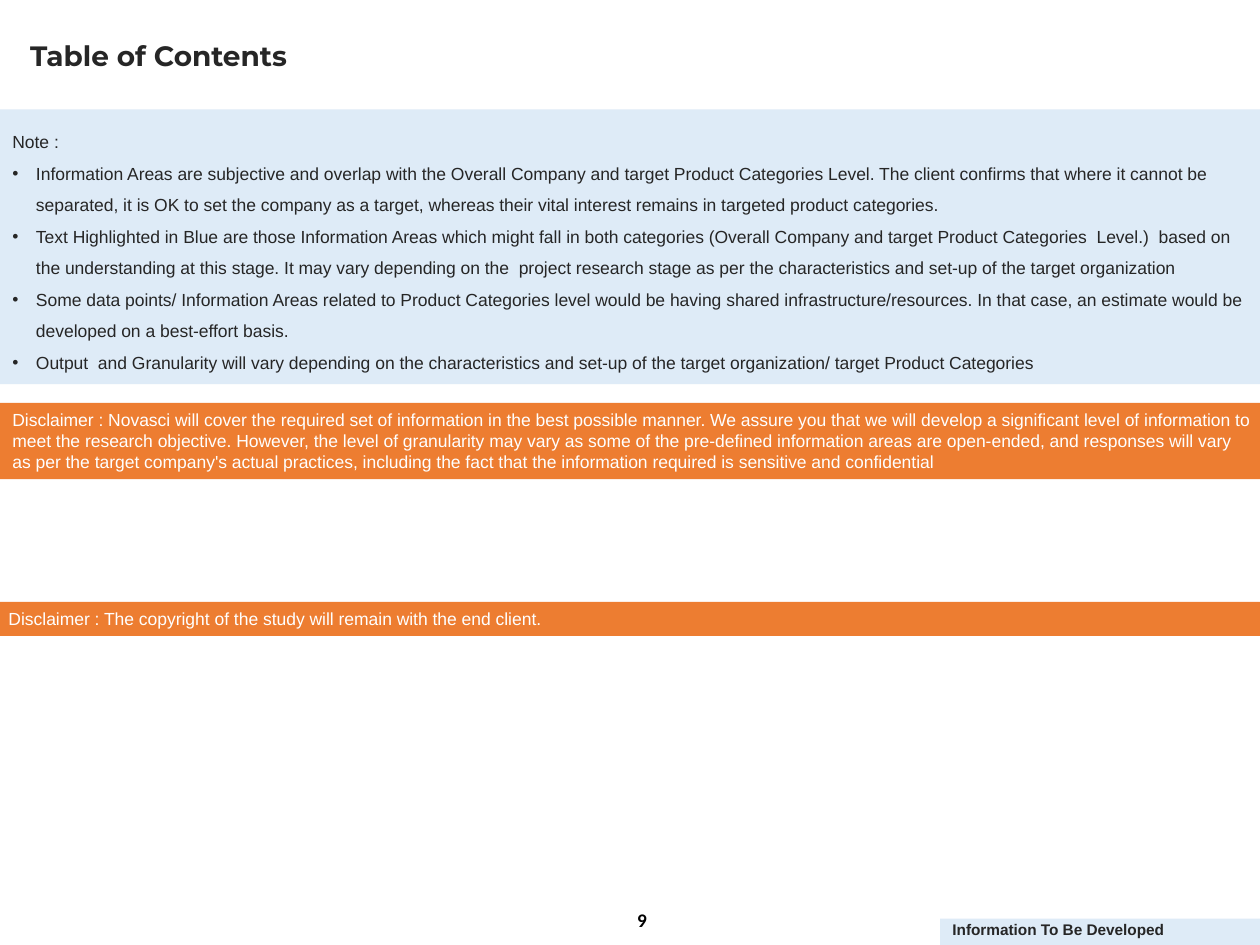
"""Build the table of contents slide with its note and disclaimer bands."""
from pptx import Presentation
from pptx.dml.color import RGBColor
from pptx.enum.shapes import MSO_SHAPE as SHAPE
from pptx.enum.text import MSO_ANCHOR as ANCHOR, PP_ALIGN as ALIGN
from pptx.util import Pt
from lxml import etree

COLORS = {"dark": "262626", "black": "000000", "white": "FFFFFF",
          "pale": "DEEBF7", "orange": "ED7D31"}
INDENT = Pt(13.5)

NOTES = [
    "Information Areas are subjective and overlap with the Overall Company and target Product Categories Level. "
    "The client confirms that where it cannot be separated, it is OK to set the company as a target, "
    "whereas their vital interest remains in targeted product categories.",
    "Text Highlighted in Blue are those Information Areas which might fall in both categories "
    "(Overall Company and target Product Categories  Level.)  based on the understanding at this stage. "
    "It may vary depending on the  project research stage as per the characteristics and set-up of the target organization",
    "Some data points/ Information Areas related to Product Categories level would be having shared "
    "infrastructure/resources. In that case, an estimate would be developed on a best-effort basis.",
    "Output  and Granularity will vary depending on the characteristics and set-up of the target organization/ "
    "target Product Categories",
]
DISCLAIMER = (
    "Disclaimer : Novasci will cover the required set of information in the best possible manner. "
    "We assure you that we will develop a significant level of information to meet the research objective. "
    "However, the level of granularity may vary as some of the pre-defined information areas are open-ended, "
    "and responses will vary as per the target company's actual practices, including the fact that "
    "the information required is sensitive and confidential"
)
COPYRIGHT = "Disclaimer : The copyright of the study will remain with the end client."

BODY = {"name": "Arial", "size": Pt(10), "bold": False}
TITLE = {"name": "Montserrat", "size": Pt(16), "bold": True}
TAG = {"name": "Arial", "size": Pt(8.8), "bold": True}
NUMBER = {"name": "Calibri", "size": Pt(11), "bold": True}

BLOCKS = [
    ((349.2, 511.2, 35.3, 28.8), None, ["9"], NUMBER, "black", ANCHOR.MIDDLE,
     {"alignment": ALIGN.CENTER}),
    ((10.1, 15.1, 619.2, 36), None, ["Table of Contents"], TITLE, "dark", ANCHOR.MIDDLE,
     {"line_spacing": 0.9}),
    ((537.2, 524.9, 184.3, 15.1), "pale", ["Information To Be Developed"], TAG, "dark", ANCHOR.MIDDLE,
     {"line_spacing": 0.7}),
    ((0, 62.5, 720, 157), "pale", ["Note :"] + NOTES, BODY, "dark", ANCHOR.MIDDLE,
     {"line_spacing": 1.5}),
    ((0, 230.2, 722.2, 43.6), "orange", [DISCLAIMER], BODY, "white", ANCHOR.TOP, {}),
    ((-2.2, 344, 722.2, 19.4), "orange", [COPYRIGHT], BODY, "white", ANCHOR.TOP, {}),
]


def add_bullet(p):
    pPr = p._p.get_or_add_pPr()
    pPr.set("marL", str(INDENT))
    pPr.set("indent", str(-INDENT))
    ns = pPr.nsmap["a"]
    etree.SubElement(pPr, f"{{{ns}}}buFont", typeface="Arial")
    etree.SubElement(pPr, f"{{{ns}}}buChar", char="•")


prs = Presentation()
prs.slide_width, prs.slide_height = Pt(720), Pt(540)
s = prs.slides.add_slide(prs.slide_layouts[6])

for box, fill, lines, font, color, anchor, layout in BLOCKS:
    place = [Pt(v) for v in box]
    if fill:
        sp = s.shapes.add_shape(SHAPE.RECTANGLE, *place)
        sp.shadow.inherit = False
        sp.fill.solid()
        sp.fill.fore_color.rgb = RGBColor.from_string(COLORS[fill])
        sp.line.fill.background()
    else:
        sp = s.shapes.add_textbox(*place)
    tf = sp.text_frame
    tf.word_wrap = True
    tf.vertical_anchor = anchor
    for i, line in enumerate(lines):
        p = tf.add_paragraph() if i else tf.paragraphs[0]
        for key, value in ({"alignment": ALIGN.LEFT} | layout).items():
            setattr(p, key, value)
        if i:
            add_bullet(p)
        r = p.add_run()
        r.text = line
        for key, value in font.items():
            setattr(r.font, key, value)
        r.font.color.rgb = RGBColor.from_string(COLORS[color])

prs.save("out.pptx")
